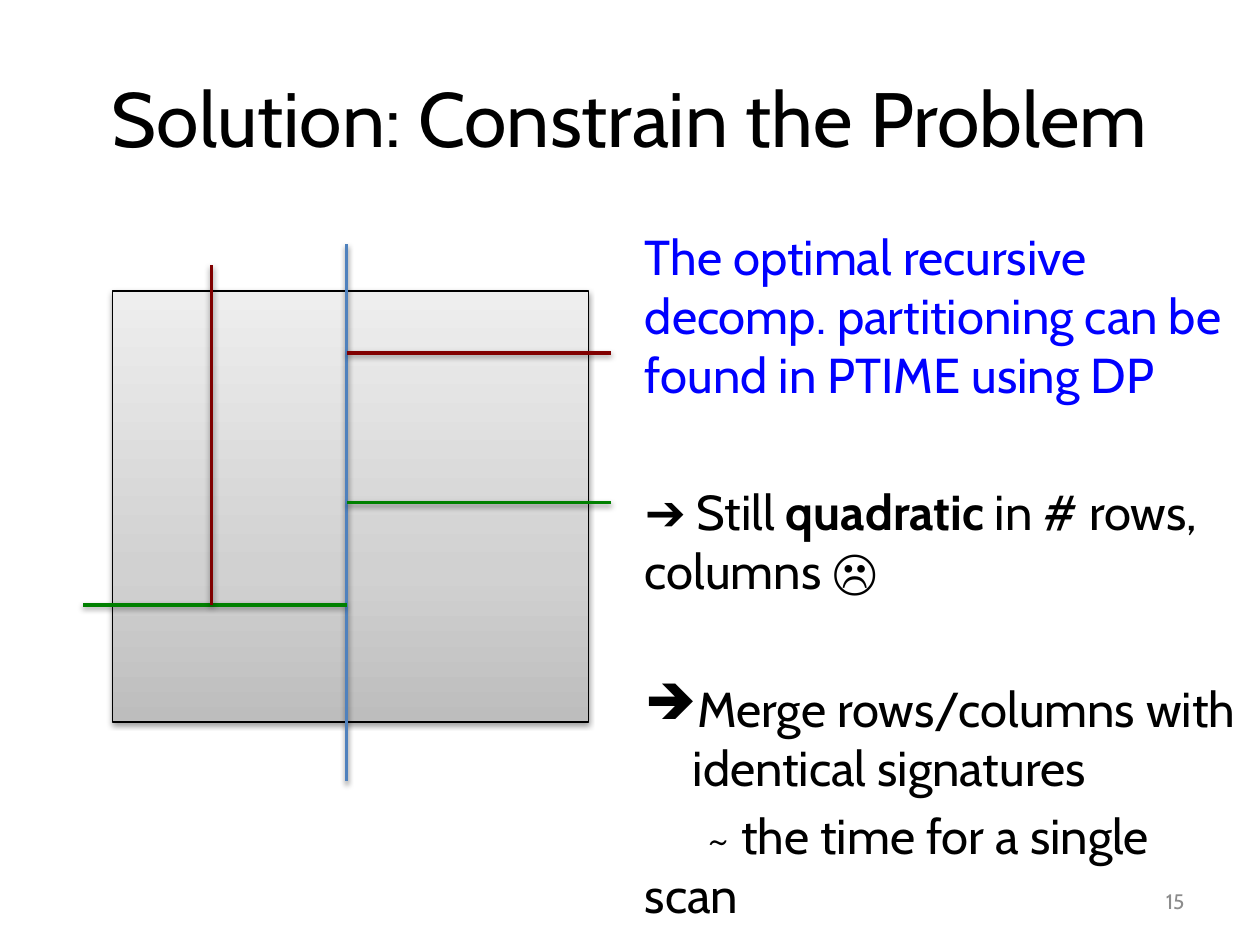
"""Build the slide on constraining the partitioning problem."""
from pptx import Presentation
from pptx import util as u
from pptx.dml.color import RGBColor
from pptx.enum import shapes, text
from pptx.oxml import parse_xml
from pptx.oxml.ns import nsdecls, qn


def rgb(value):
    return RGBColor.from_string(value)


def add_shadow(sp):
    spPr = sp._element.spPr
    for old in spPr.findall(qn("a:effectLst")):
        spPr.remove(old)
    spPr.append(parse_xml(
        f'<a:effectLst {nsdecls("a")}><a:outerShdw blurRad="40000" dist="20000" '
        'dir="5400000" rotWithShape="0"><a:srgbClr val="000000">'
        '<a:alpha val="38000"/></a:srgbClr></a:outerShdw></a:effectLst>'))


prs = Presentation()
prs.slide_width, prs.slide_height = u.Inches(10), u.Inches(7.5)
s = prs.slides.add_slide(prs.slide_layouts[6])

TOP, MIDDLE = text.MSO_ANCHOR.TOP, text.MSO_ANCHOR.MIDDLE
LEFT, CENTER, RIGHT = text.PP_ALIGN.LEFT, text.PP_ALIGN.CENTER, text.PP_ALIGN.RIGHT
BLACK, BLUE, GRAY = "000000", "0000FF", "8C8C8C"
GAP, STEP = 45, 5.6

boxes = [
    ((0.5, 0.3, 9, 1.25), MIDDLE, CENTER, 44, BLACK,
     [(0, "", [("Solution: Constrain the Problem", False)])]),
    ((5.02, 1.75, 4.98, 5.36), TOP, LEFT, 28, BLACK, [
        (0, "", [("The optimal recursive decomp. partitioning can be found "
                  "in PTIME using DP", False)]),
        (GAP, "", [("➔ Still ", False), ("quadratic", True),
                   (" in # rows, columns ☹", False)]),
        (GAP, "bullet", [("Merge rows/columns with identical signatures", False)]),
        (STEP, "tab", [("\t~ the time for a single scan", False)]),
    ]),
    ((7.17, 6.95, 2.33, 0.4), MIDDLE, RIGHT, 12, GRAY, [(0, "", [("15", False)])]),
]
for place, anchor, align, size, color, paragraphs in boxes:
    tf = s.shapes.add_textbox(*map(u.Inches, place)).text_frame
    tf.word_wrap = True
    tf.vertical_anchor = anchor
    for i, (before, kind, runs) in enumerate(paragraphs):
        p = tf.paragraphs[0] if i == 0 else tf.add_paragraph()
        pPr = p._p.get_or_add_pPr()
        if kind == "bullet":
            pPr.set("marL", str(u.Inches(0.38)))
            pPr.set("indent", str(-u.Inches(0.38)))
            pPr.append(parse_xml(f'<a:buChar {nsdecls("a")} char="➔"/>'))
        elif kind == "tab":
            pPr.append(parse_xml(
                f'<a:tabLst {nsdecls("a")}><a:tab pos="{u.Inches(0.5)}" algn="l"/></a:tabLst>'))
        p.alignment = align
        p.space_before = u.Pt(before)
        for words, bold in runs:
            r = p.add_run()
            r.text = words
            r.font.name = "Cabin"
            r.font.size = u.Pt(size)
            r.font.bold = bold
            r.font.color.rgb = rgb(BLUE if size == 28 and i == 0 else color)

sp = s.shapes.add_shape(shapes.MSO_SHAPE.RECTANGLE,
                        *map(u.Inches, (0.89, 2.31, 3.78, 3.42)))
sp.shadow.inherit = False
sp.fill.gradient()
sp.fill.gradient_angle = 90
stops = sp._element.spPr.find(qn("a:gradFill")).find(qn("a:gsLst"))
for old in list(stops):
    stops.remove(old)
for pos, color in [(0, "BDBDBD"), (35, "D1D1D1"), (100, "EEEEEE")]:
    stops.append(parse_xml(
        f'<a:gs {nsdecls("a")} pos="{pos * 1000}"><a:srgbClr val="{color}"/></a:gs>'))
sp.line.color.rgb = rgb(BLACK)
sp.line.width = u.Pt(0.75)
add_shadow(sp)

SPLIT, CUT = 2.75, 4.8
cuts = [
    (SPLIT, 1.94, SPLIT, 6.2, "4F81BD"),
    (4.85, 3.99, SPLIT, 3.99, "008000"),
    (SPLIT, CUT, 0.66, CUT, "008000"),
    (1.68, CUT, 1.68, 2.1, "800000"),
    (SPLIT, 2.8, 4.85, 2.8, "800000"),
]
for *ends, color in cuts:
    sp = s.shapes.add_connector(shapes.MSO_CONNECTOR.STRAIGHT, *map(u.Inches, ends))
    sp.line.color.rgb = rgb(color)
    sp.line.width = u.Pt(2)
    add_shadow(sp)

prs.save("out.pptx")
